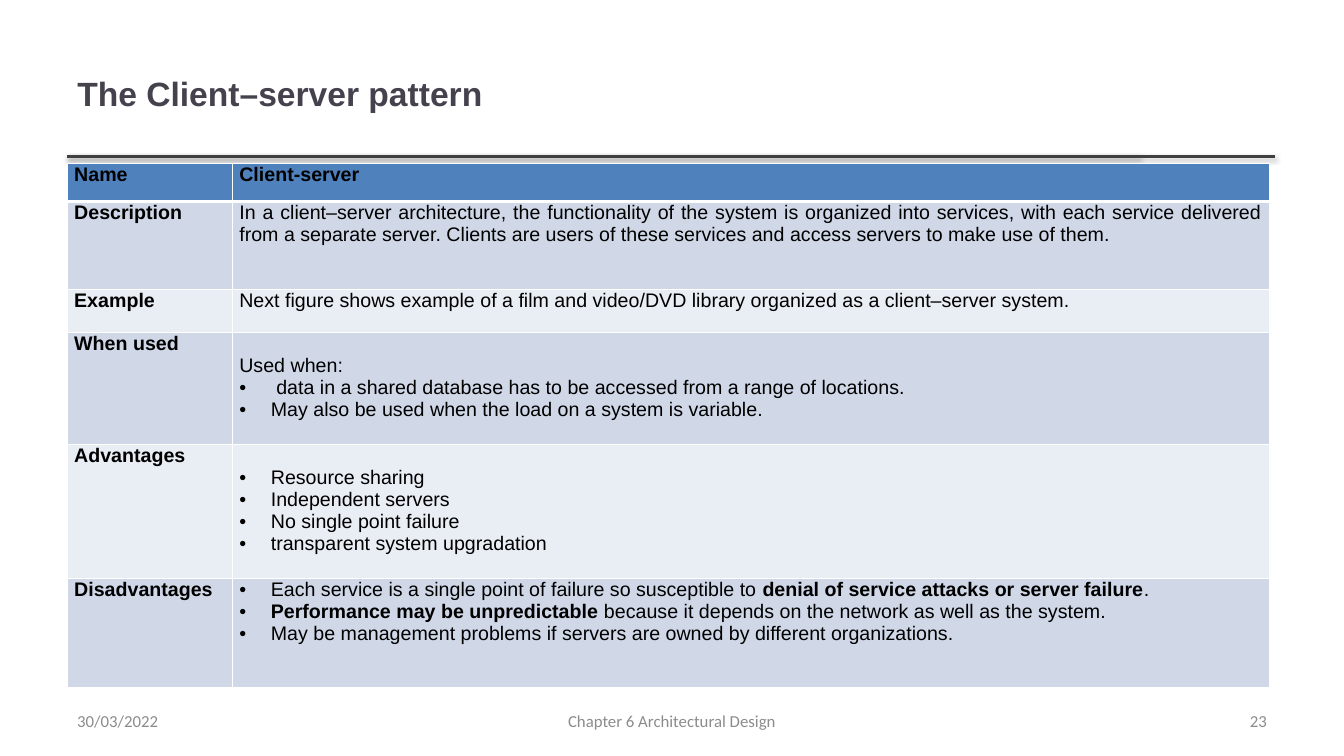
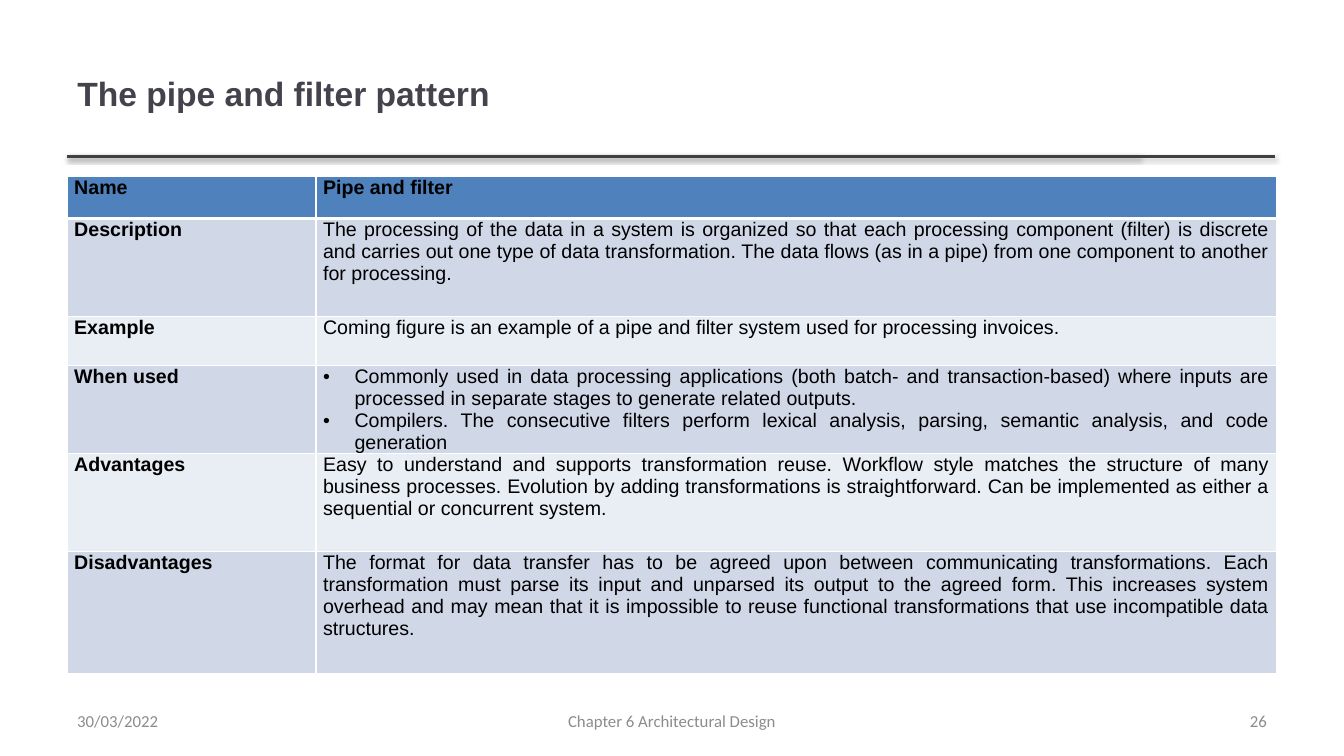
from dataclasses import dataclass

from lxml.etree import SubElement
from pptx import Presentation
from pptx.dml.color import RGBColor
from pptx.enum.shapes import MSO_CONNECTOR
from pptx.enum.text import MSO_ANCHOR, PP_ALIGN
from pptx.oxml.ns import qn
from pptx.util import Pt

COLORS = {
    "title": "46424D",
    "rule": "404040",
    "header": "4F81BD",
    "odd": "D0D8E8",
    "even": "E9EDF4",
    "text": "000000",
    "footer": "8C8C8C",
    "border": "FFFFFF",
}
LEFT = 48
RULE_TOP = 111.6
RULE_ENDS = (815, 910.8)
FOOTER_TOP = 500.4
BULLET_INDENT = 22.5
LINE_HEIGHT = 15.75


@dataclass(frozen=True)
class Run:
    text: str
    bold: bool = False


@dataclass(frozen=True)
class Para:
    runs: tuple[Run, ...]
    bullet: bool = False


@dataclass(frozen=True)
class Row:
    label: str
    height: float
    paras: tuple[Para, ...]
    margin_top: float = 0


@dataclass(frozen=True)
class Pattern:
    title: str
    number: str
    top: float
    widths: tuple[float, float]
    rows: tuple[Row, ...]


@dataclass(frozen=True)
class Footer:
    text: str
    left: float
    width: float
    align: PP_ALIGN


def plain(text: str, bold: bool = False) -> Para:
    return Para((Run(text, bold),))


def bullet(*runs: Run | str) -> Para:
    return Para(tuple(Run(r) if isinstance(r, str) else r for r in runs), True)


PATTERNS = (
    Pattern("The Client–server pattern", "23", 116.6, (118, 741), (
        Row("Name", 27.4, (plain("Client-server", True),)),
        Row("Description", 62.6, (plain(
            "In a client–server architecture, the functionality of the system is "
            "organized into services, with each service delivered from a separate "
            "server. Clients are users of these services and access servers to make "
            "use of them."),)),
        Row("Example", 31, (plain(
            "Next figure shows example of a film and video/DVD library organized "
            "as a client–server system."),)),
        Row("When used", 80, (
            plain("Used when:"),
            bullet(" data in a shared database has to be accessed from a range of locations. "),
            bullet("May also be used when the load on a system is variable."),
        ), LINE_HEIGHT),
        Row("Advantages", 95.8, (
            bullet("Resource sharing"),
            bullet("Independent servers"),
            bullet("No single point failure"),
            bullet("transparent system upgradation"),
        ), LINE_HEIGHT),
        Row("Disadvantages", 77.8, (
            bullet("Each service is a single point of failure so susceptible to ",
                   Run("denial of service attacks or server failure", True), ". "),
            bullet(Run("Performance may be unpredictable", True),
                   " because it depends on the network as well as the system."),
            bullet("May be management problems if servers are owned by different organizations."),
        )),
    )),
    Pattern("The pipe and filter pattern", "26", 126, (177.8, 686.2), (
        Row("Name", 30, (plain("Pipe and filter", True),)),
        Row("Description", 70, (plain(
            "The processing of the data in a system is organized so that each "
            "processing component (filter) is discrete and carries out one type of "
            "data transformation. The data flows (as in a pipe) from one component "
            "to another for processing. "),)),
        Row("Example", 35, (plain(
            "Coming figure is an example of a pipe and filter system used for "
            "processing invoices."),)),
        Row("When used", 63, (
            bullet("Commonly used in data processing applications (both batch- and "
                   "transaction-based) where inputs are processed in separate stages "
                   "to generate related outputs."),
            bullet("Compilers. The consecutive filters perform lexical analysis, "
                   "parsing, semantic analysis, and code generation"),
        )),
        Row("Advantages", 70, (plain(
            "Easy to understand and supports transformation reuse. Workflow style "
            "matches the structure of many business processes. Evolution by adding "
            "transformations is straightforward. Can be implemented as either a "
            "sequential or concurrent system."),)),
        Row("Disadvantages", 87, (plain(
            "The format for data transfer has to be agreed upon between communicating "
            "transformations. Each transformation must parse its input and unparsed "
            "its output to the agreed form. This increases system overhead and may "
            "mean that it is impossible to reuse functional transformations that use "
            "incompatible data structures."),)),
    )),
)


def rgb(name: str) -> RGBColor:
    return RGBColor.from_string(COLORS[name])


def add_run(p, run: Run, size: float, font: str, color: str) -> None:
    r = p.add_run()
    r.text = run.text
    r.font.size = Pt(size)
    r.font.name = font
    r.font.bold = run.bold
    r.font.color.rgb = rgb(color)


def add_color(parent, value: str):
    fill = SubElement(parent, qn("a:solidFill"))
    return SubElement(fill, qn("a:srgbClr"), val=value)


def add_rule(slide, end: float) -> None:
    line = slide.shapes.add_connector(
        MSO_CONNECTOR.STRAIGHT, Pt(LEFT), Pt(RULE_TOP), Pt(end), Pt(RULE_TOP))
    line.line.color.rgb = rgb("rule")
    line.line.width = Pt(2)
    effects = SubElement(line._element.spPr, qn("a:effectLst"))
    shadow = SubElement(effects, qn("a:outerShdw"), blurRad=str(Pt(3.1)),
                        dist=str(Pt(1.6)), dir="5400000", rotWithShape="0")
    color = SubElement(shadow, qn("a:srgbClr"), val="000000")
    SubElement(color, qn("a:alpha"), val="38000")


def add_title(slide, text: str) -> None:
    sp = slide.shapes.title
    sp.left, sp.top, sp.width, sp.height = Pt(LEFT), Pt(21.6), Pt(765.4), Pt(90)
    tf = sp.text_frame
    tf.vertical_anchor = MSO_ANCHOR.MIDDLE
    p = tf.paragraphs[0]
    p.alignment = PP_ALIGN.LEFT
    add_run(p, Run(text, True), 24, "Arial", "title")


def add_footer(slide, footer: Footer) -> None:
    sp = slide.shapes.add_textbox(
        Pt(footer.left), Pt(FOOTER_TOP), Pt(footer.width), Pt(28.8))
    tf = sp.text_frame
    tf.word_wrap = True
    tf.vertical_anchor = MSO_ANCHOR.MIDDLE
    p = tf.paragraphs[0]
    p.alignment = footer.align
    add_run(p, Run(footer.text), 12, "Calibri", "footer")


def add_borders(cell, bottom: float) -> None:
    tc_pr = cell._tc.get_or_add_tcPr()
    for side, width in (("L", 1), ("R", 1), ("T", 1), ("B", bottom)):
        ln = SubElement(tc_pr, qn(f"a:ln{side}"), w=str(Pt(width)))
        add_color(ln, COLORS["border"])


def fill_cell(cell, paras: tuple[Para, ...], fill: str, margin_top: float = 0) -> None:
    cell.margin_left = cell.margin_right = Pt(5)
    cell.margin_top, cell.margin_bottom = Pt(margin_top), Pt(0)
    add_borders(cell, 3 if fill == "header" else 1)
    cell.fill.solid()
    cell.fill.fore_color.rgb = rgb(fill)
    tf = cell.text_frame
    for i, para in enumerate(paras):
        p = tf.add_paragraph() if i else tf.paragraphs[0]
        p.alignment = PP_ALIGN.JUSTIFY
        if para.bullet:
            p_pr = p._p.get_or_add_pPr()
            p_pr.set("marL", str(Pt(BULLET_INDENT)))
            p_pr.set("indent", str(Pt(-BULLET_INDENT)))
            SubElement(p_pr, qn("a:buFont"), typeface="Arial")
            SubElement(p_pr, qn("a:buChar"), char="•")
        for run in para.runs:
            add_run(p, run, 14, "Arial", "text")


def add_pattern_table(slide, pattern: Pattern) -> None:
    frame = slide.shapes.add_table(
        len(pattern.rows), 2, Pt(LEFT), Pt(pattern.top),
        Pt(sum(pattern.widths)), Pt(sum(row.height for row in pattern.rows)))
    table = frame.table
    table.horz_banding = False
    for column, width in zip(table.columns, pattern.widths):
        column.width = Pt(width)
    for i, row in enumerate(pattern.rows):
        table.rows[i].height = Pt(row.height)
        fill = "header" if i == 0 else "odd" if i % 2 else "even"
        fill_cell(table.cell(i, 0), (plain(row.label, True),), fill)
        fill_cell(table.cell(i, 1), row.paras, fill, row.margin_top)


def add_pattern_slide(prs, pattern: Pattern) -> None:
    slide = prs.slides.add_slide(prs.slide_layouts[5])
    for end in RULE_ENDS:
        add_rule(slide, end)
    add_title(slide, pattern.title)
    add_pattern_table(slide, pattern)
    for footer in (
        Footer("30/03/2022", LEFT, 224, PP_ALIGN.LEFT),
        Footer("Chapter 6 Architectural Design", 328, 304, PP_ALIGN.CENTER),
        Footer(pattern.number, 688, 224, PP_ALIGN.RIGHT),
    ):
        add_footer(slide, footer)


def main() -> None:
    prs = Presentation()
    prs.slide_width, prs.slide_height = Pt(960), Pt(540)
    for pattern in PATTERNS:
        add_pattern_slide(prs, pattern)
    prs.save("out.pptx")


if __name__ == "__main__":
    main()
